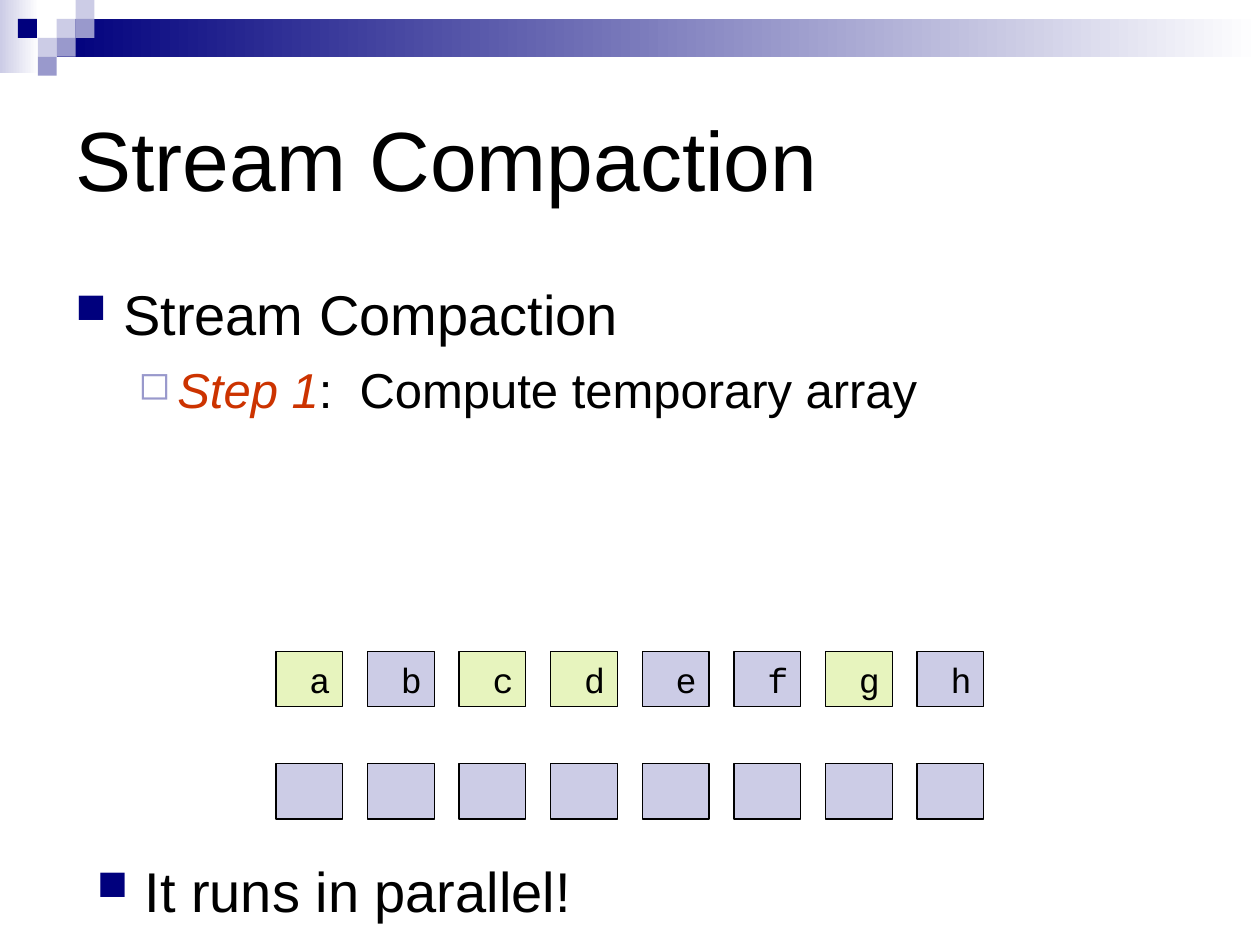
from lxml import etree
from pptx import Presentation
from pptx.dml.color import RGBColor
from pptx.enum.shapes import MSO_SHAPE
from pptx.enum.text import MSO_ANCHOR, PP_ALIGN
from pptx.oxml.ns import qn
from pptx.util import Inches, Pt

RECT = MSO_SHAPE.RECTANGLE
LEFT = PP_ALIGN.LEFT
MIDDLE = MSO_ANCHOR.MIDDLE

BLACK = RGBColor(0x00, 0x00, 0x00)
WHITE = RGBColor(0xFF, 0xFF, 0xFF)
NAVY = RGBColor(0x00, 0x00, 0x7D)
LAVENDER = RGBColor(0xCC, 0xCC, 0xE6)
VIOLET = RGBColor(0x99, 0x99, 0xCC)
LIME = RGBColor(0xE7, 0xF4, 0xBE)
RUST = RGBColor(0xCC, 0x33, 0x00)

prs = Presentation()
prs.slide_width, prs.slide_height = Inches(10), Inches(7.5)
s = prs.slides.add_slide(prs.slide_layouts[5])


def add_rect(x, y, w, h, color, fade=False):
    sp = s.shapes.add_shape(RECT, Inches(x), Inches(y), Inches(w), Inches(h))
    sp.shadow.inherit = False
    sp.line.fill.background()
    if fade:
        sp.fill.gradient()
        sp.fill.gradient_angle = 0
        for stop, stop_color in zip(sp.fill.gradient_stops, (color, WHITE)):
            stop.color.rgb = stop_color
    else:
        sp.fill.solid()
        sp.fill.fore_color.rgb = color
    return sp


def format_bullet(p, char, color, percent, margin, indent, size, before):
    p.font.name, p.font.size, p.font.color.rgb = "Arial", Pt(size), BLACK
    p.space_before = Pt(before)
    pPr = p._p.get_or_add_pPr()
    pPr.set("marL", str(Inches(margin)))
    pPr.set("indent", str(Inches(indent)))
    buClr = etree.Element(qn("a:buClr"))
    etree.SubElement(buClr, qn("a:srgbClr"), val=str(color))
    buSzPct = etree.Element(qn("a:buSzPct"), val=str(percent * 1000))
    buChar = etree.Element(qn("a:buChar"), char=char)
    position = len(pPr.findall(qn("a:spcBef")))
    for offset, element in enumerate((buClr, buSzPct, buChar)):
        pPr.insert(position + offset, element)


UNIT = 0.15
add_rect(0, 0, 0.31, 0.58, LAVENDER, fade=True)
add_rect(3 * UNIT, UNIT, 10 - 3 * UNIT, 2 * UNIT, NAVY, fade=True)
for col, row, color in [
    (3, 1, LAVENDER), (4, 0, LAVENDER), (4, 1, VIOLET), (2, 2, LAVENDER),
    (0.95, 1, NAVY), (3, 2, VIOLET), (2, 3, VIOLET),
]:
    add_rect(col * UNIT, row * UNIT, UNIT, UNIT, color)

title = s.shapes.title
title.left, title.top = Inches(0.5), Inches(0.5)
title.width, title.height = Inches(9), Inches(1.5)
title.text_frame.text = "Stream Compaction"
title.text_frame.vertical_anchor = MIDDLE
p = title.text_frame.paragraphs[0]
p.alignment = LEFT
p.font.name, p.font.size, p.font.color.rgb = "Arial", Pt(48), BLACK

body = s.shapes.add_textbox(Inches(0.5), Inches(2.17), Inches(9.33), Inches(2.75))
tf = body.text_frame
tf.word_wrap = True
p = tf.paragraphs[0]
p.text = "Stream Compaction"
format_bullet(p, "■", NAVY, 75, 0.38, -0.38, 32, 8)
p = tf.add_paragraph()
p.level = 1
r = p.add_run()
r.text = "Step 1"
r.font.italic = True
r.font.color.rgb = RUST
p.add_run().text = ":  Compute temporary array"
format_bullet(p, "◻", VIOLET, 80, 0.81, -0.31, 28, 7)

CELL_W, CELL_H = 0.53, 0.44
PITCH = 0.727
LETTERS = "abcdefgh"
KEPT = "acdg"
for i, letter in enumerate(LETTERS):
    x = 2.19 + i * PITCH
    source = add_rect(x, 5.17, CELL_W, CELL_H, LIME if letter in KEPT else LAVENDER)
    target = add_rect(x, 6.06, CELL_W, CELL_H, LAVENDER)
    for sp in (source, target):
        sp.line.color.rgb = BLACK
        sp.line.width = Pt(0.75)
    tf = source.text_frame
    tf.word_wrap = False
    p = tf.paragraphs[0]
    p.text = f" {letter}"
    p.alignment = LEFT
    p.font.name, p.font.size, p.font.color.rgb = "Courier New", Pt(20), BLACK

note = s.shapes.add_textbox(Inches(0.67), Inches(6.75), Inches(9), Inches(0.83))
tf = note.text_frame
tf.word_wrap = True
p = tf.paragraphs[0]
p.text = "It runs in parallel!"
format_bullet(p, "■", NAVY, 75, 0.38, -0.38, 32, 8)

prs.save("out.pptx")
